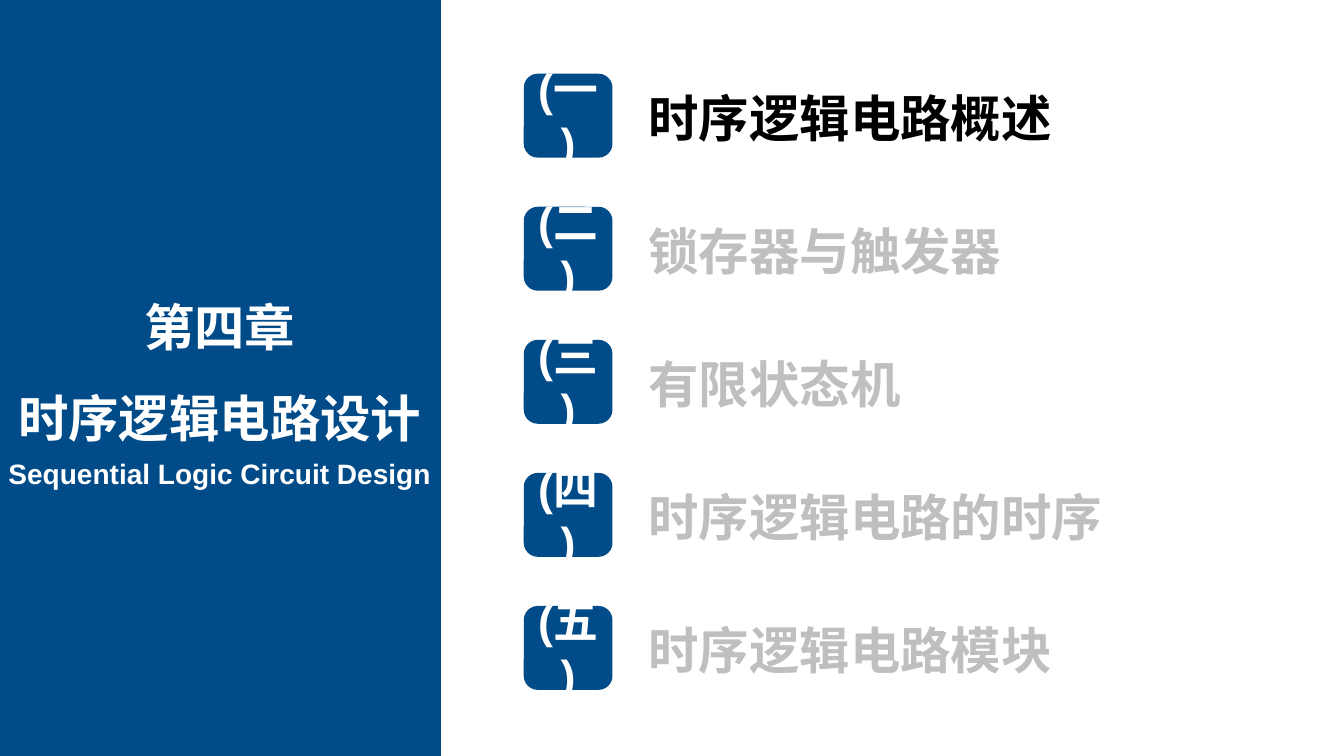
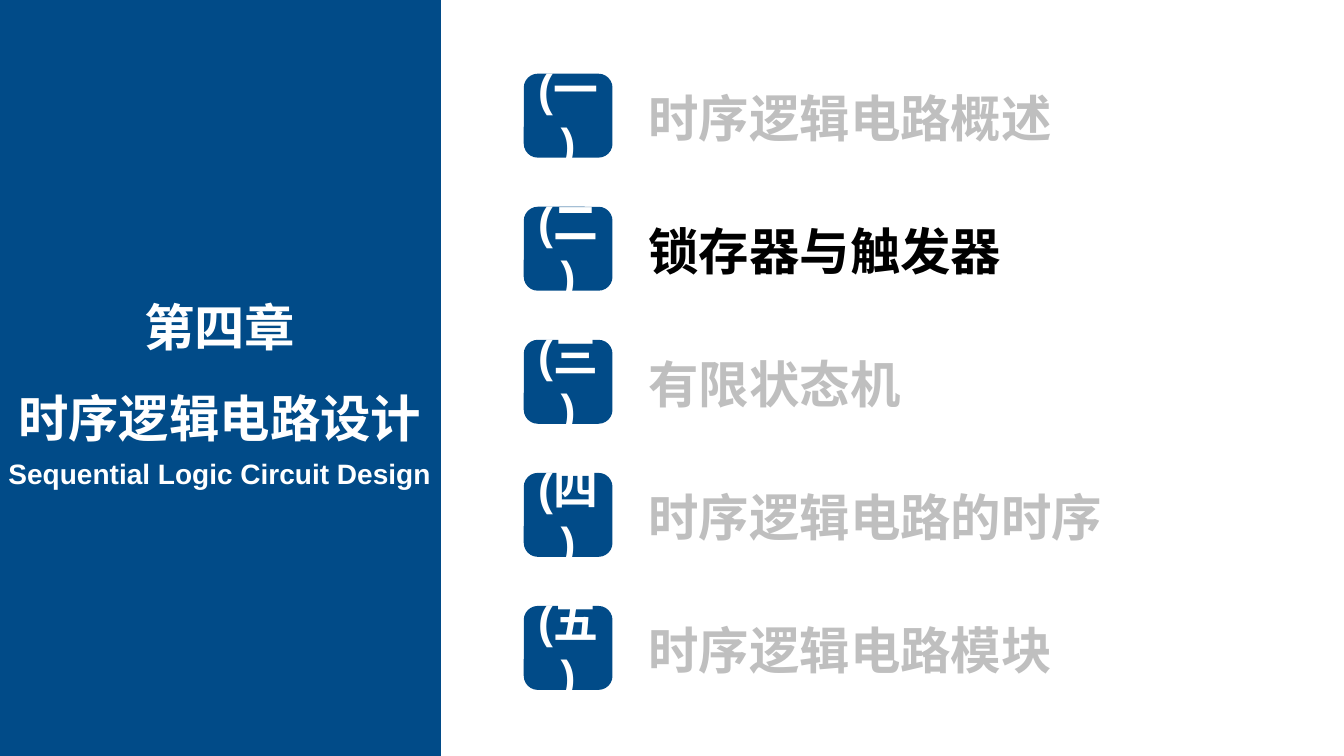
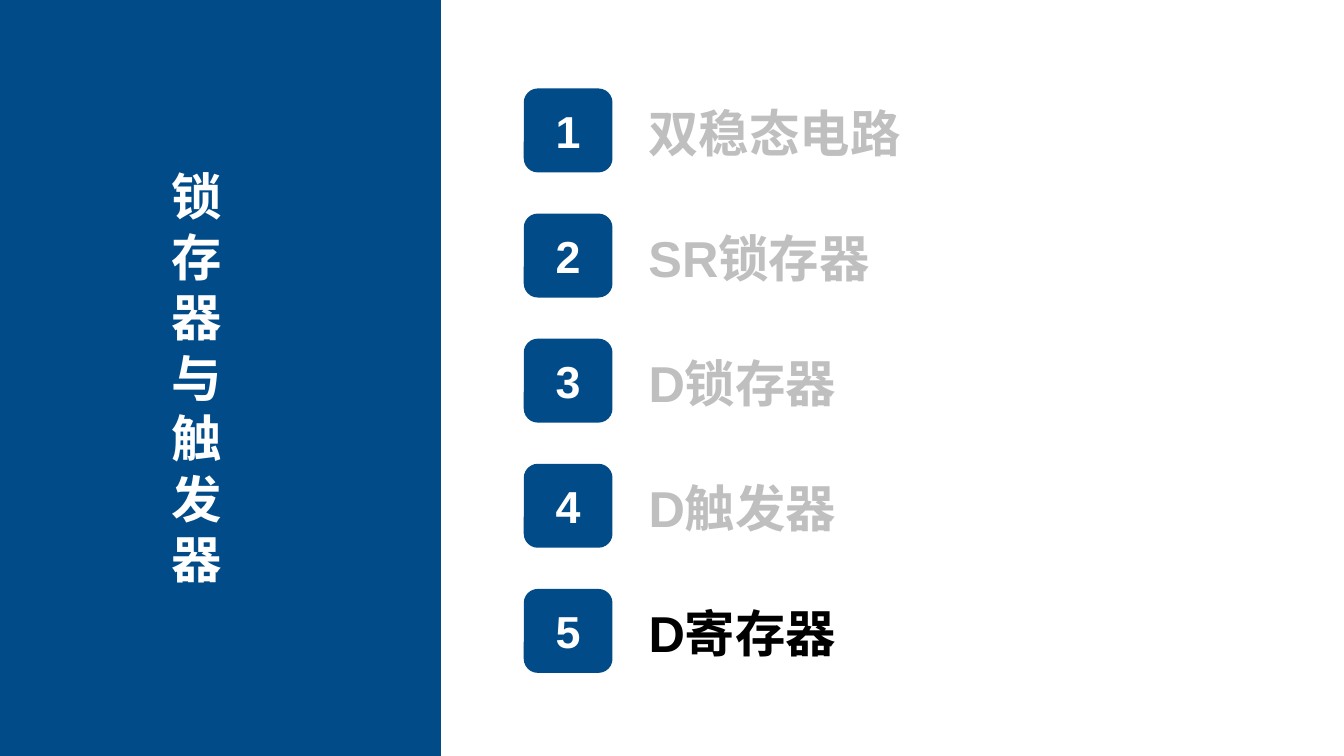
from pptx import Presentation
from pptx.dml.color import RGBColor
from pptx.enum.shapes import MSO_SHAPE
from pptx.enum.text import MSO_ANCHOR, MSO_AUTO_SIZE, PP_ALIGN
from pptx.util import Inches, Pt

BLUE, WHITE, BLACK, GREY = "014B88", "FFFFFF", "000000", "BFBFBF"
FONT = "Arial"
LABEL_WIDTHS = (42, 35.4, 38.9, 38.9, 38.9)


def color(value):
    """Turn a hex string into a colour."""
    return RGBColor.from_string(value)


def write(tf, text, size=36, fill=WHITE, align=PP_ALIGN.CENTER, anchor=MSO_ANCHOR.TOP,
          insets=(0, 0), wrap=True, grow=True, spacing=None, after=None):
    """Fill a text frame with bold text, one paragraph a line."""
    tf.word_wrap = wrap
    tf.auto_size = MSO_AUTO_SIZE.SHAPE_TO_FIT_TEXT if grow else MSO_AUTO_SIZE.NONE
    tf.vertical_anchor = anchor
    tf.margin_left = tf.margin_right = Inches(insets[0])
    tf.margin_top = tf.margin_bottom = Inches(insets[1])
    for i, line in enumerate(text.split("\n")):
        p = tf.add_paragraph() if i else tf.paragraphs[0]
        p.alignment = align
        if spacing is not None:
            p.line_spacing = spacing
        if after is not None:
            p.space_after = Pt(after)
        r = p.add_run()
        r.text = line
        r.font.name, r.font.size, r.font.bold = FONT, Pt(size), True
        r.font.color.rgb = color(fill)


class Deck:
    """Hold the style and current slide; lengths are percentages of the slide."""

    def __init__(self):
        """Start an empty widescreen presentation."""
        self.prs = Presentation()
        self.prs.slide_width, self.prs.slide_height = Inches(13.33), Inches(7.5)
        self.s = None

    def place(self, x, y, w, h):
        """Convert percentages to slide lengths."""
        across, down = self.prs.slide_width / 100, self.prs.slide_height / 100
        return int(x * across), int(y * down), int(w * across), int(h * down)

    def slide(self):
        """Add a blank slide with the blue side panel."""
        self.s = self.prs.slides.add_slide(self.prs.slide_layouts[6])
        self.block(MSO_SHAPE.RECTANGLE, 0, 0, 32.8, 100)

    def block(self, kind, *box):
        """Add a plain blue shape."""
        sp = self.s.shapes.add_shape(kind, *self.place(*box))
        sp.shadow.inherit = False
        sp.fill.solid()
        sp.fill.fore_color.rgb = color(BLUE)
        sp.line.fill.background()
        return sp

    def text(self, text, *box, **style):
        """Add a text box."""
        write(self.s.shapes.add_textbox(*self.place(*box)).text_frame, text, **style)

    def item(self, mark, label, top, width, active):
        """Add one agenda entry: numbered badge and label."""
        sp = self.block(MSO_SHAPE.ROUNDED_RECTANGLE, 38.97, top, 6.6, 11.1)
        write(sp.text_frame, mark, size=32, anchor=MSO_ANCHOR.MIDDLE,
              insets=(0.08, 0.05), grow=False)
        self.text(label, 48.25, top + 1.65, width, 8.2, fill=BLACK if active else GREY,
                  align=PP_ALIGN.LEFT, anchor=MSO_ANCHOR.MIDDLE)

    def agenda(self, marks, labels, active, top, pitch):
        """Add evenly spaced entries with the active one in black."""
        for i, (mark, label, width) in enumerate(zip(marks, labels, LABEL_WIDTHS)):
            self.item(mark, label, top + i * pitch, width, i == active)

    def chapter(self, active):
        """Add the chapter agenda slide."""
        self.slide()
        self.text("第四章\n时序逻辑电路设计", 1.2, 35.2, 30.3, 22.8, wrap=False, spacing=1.5)
        self.text("Sequential Logic Circuit Design", 0.5, 60.4, 31.7, 4.5, size=20, wrap=False)
        labels = ("时序逻辑电路概述", "锁存器与触发器", "有限状态机",
                  "时序逻辑电路的时序", "时序逻辑电路模块")
        self.agenda([f"({n})" for n in "一二三四五"], labels, active, 9.75, 17.6)

    def section(self, active):
        """Add the section agenda slide."""
        self.slide()
        self.text("锁存器与触发器", 11.4, 21.9, 6.45, 56.5, after=6)
        labels = ("双稳态电路", "SR锁存器", "D锁存器", "D触发器", "D寄存器")
        self.agenda("12345", labels, active, 11.7, 16.55)


def main():
    """Build and save the slides."""
    deck = Deck()
    deck.chapter(active=0)
    deck.chapter(active=1)
    deck.section(active=4)
    deck.prs.save("out.pptx")


if __name__ == "__main__":
    main()
